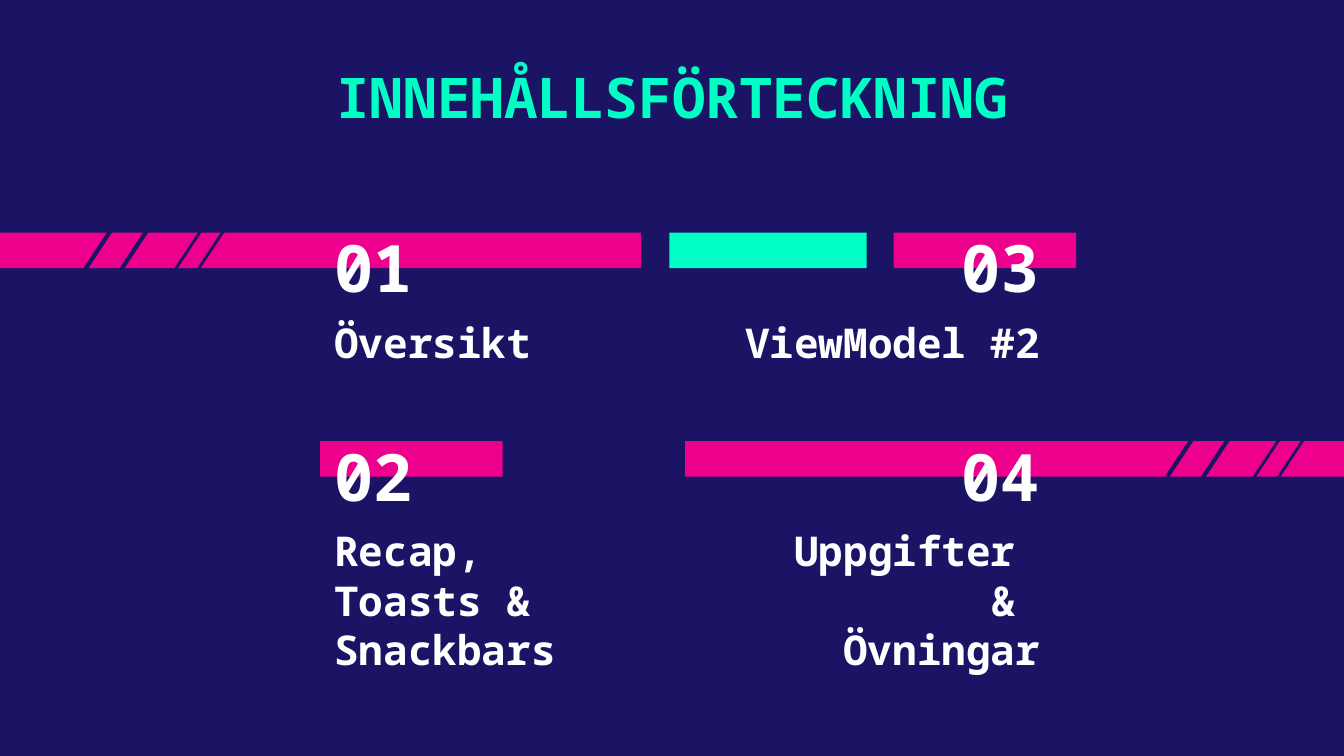
import pptx
import pptx.util
import pptx.dml.color
import pptx.enum.shapes
import pptx.enum.text
import pptx.oxml.ns
from lxml import etree

Cm, Pt = pptx.util.Cm, pptx.util.Pt
RGB = pptx.dml.color.RGBColor.from_string
ALIGN = pptx.enum.text.PP_ALIGN
ANCHOR = pptx.enum.text.MSO_ANCHOR

THEME = {
    "font": "Noto Sans Mono",
    "navy": RGB("1B1464"), "pink": RGB("EC008C"),
    "mint": RGB("00FFC5"), "white": RGB("FFFFFF"),
    "title": Pt(30), "number": Pt(35), "topic": Pt(22),
}

# All lengths are in centimetres.
TITLE = "INNEHÅLLSFÖRTECKNING"
ROW_TOPS = (4.4, 8.34)
BAR_HEIGHT = 0.67
BARS = [  # row, left, width, colour
    (0, 0, 12.12, "pink"),
    (0, 16.89, 3.45, "pink"),
    (1, 6.05, 3.45, "pink"),
    (1, 12.95, 12.45, "pink"),
    (0, 12.65, 3.73, "mint"),
]
LEFT_EDGE, RIGHT_EDGE, NUMBER_WIDTH = 6.07, 19.91, 6.02
ENTRIES = [  # row, alignment, number, paragraphs, topic width
    (0, ALIGN.LEFT, "01", ["Översikt"], 6.02),
    (0, ALIGN.RIGHT, "03", ["ViewModel #2"], 8.0),
    (1, ALIGN.LEFT, "02", ["Recap,", "Toasts & Snackbars"], 8.59),
    (1, ALIGN.RIGHT, "04", ["Uppgifter \v& \vÖvningar"], 6.02),
]
SLASH_RUN, SLASH_DROP = -1.44, 2.18
SLASHES = [  # top end x, y, line width in points
    (2.62, 3.56, 2.25), (3.02, 3.99, 2.25), (3.89, 4.22, 1.5), (4.32, 4.22, 1.5),
    (23.5, 6.83, 2.25), (23.9, 7.26, 2.25), (24.31, 8.1, 1.5), (24.77, 8.1, 1.5),
]


def write(sp, paragraphs, style, color, align, anchor, pad):
    tf = sp.text_frame
    frame = {
        "word_wrap": True, "auto_size": pptx.enum.text.MSO_AUTO_SIZE.NONE,
        "vertical_anchor": anchor,
        "margin_left": Cm(0.25), "margin_right": Cm(0.25),
        "margin_top": Cm(pad), "margin_bottom": Cm(pad),
    }
    for name, value in frame.items():
        setattr(tf, name, value)
    for i, text in enumerate(paragraphs):
        p = tf.add_paragraph() if i else tf.paragraphs[0]
        p.text = text
        p.alignment = align
        for r in p.runs:
            for name, value in {"name": THEME["font"], "size": THEME[style], "bold": True}.items():
                setattr(r.font, name, value)
            r.font.color.rgb = THEME[color]


def add_bar(s, row, left, width, color):
    sp = s.shapes.add_shape(pptx.enum.shapes.MSO_SHAPE.RECTANGLE,
                            Cm(left), Cm(ROW_TOPS[row]), Cm(width), Cm(BAR_HEIGHT))
    sp.shadow.inherit = False
    sp.fill.solid()
    sp.fill.fore_color.rgb = THEME[color]
    sp.line.fill.background()


def add_entry(s, row, align, number, paragraphs, topic_width):
    parts = [  # paragraphs, style, offset below the bar's top, width, height, anchor
        ([number], "number", 0.72, NUMBER_WIDTH, 0.66, ANCHOR.BOTTOM),
        (paragraphs, "topic", 1.6, topic_width, 1.19, ANCHOR.TOP),
    ]
    for texts, style, offset, width, height, anchor in parts:
        left = LEFT_EDGE if align == ALIGN.LEFT else RIGHT_EDGE - width
        sp = s.shapes.add_textbox(Cm(left), Cm(ROW_TOPS[row] + offset), Cm(width), Cm(height))
        write(sp, texts, style, "white", align, anchor, 0)


def add_slash(s, x, y, width):
    line = s.shapes.add_connector(pptx.enum.shapes.MSO_CONNECTOR.STRAIGHT,
                                  Cm(x), Cm(y), Cm(x + SLASH_RUN), Cm(y + SLASH_DROP))
    line.line.color.rgb = THEME["navy"]
    line.line.width = Pt(width)
    etree.SubElement(line._element.spPr, pptx.oxml.ns.qn("a:effectLst"))


def main():
    prs = pptx.Presentation()
    prs.slide_width, prs.slide_height = Cm(25.4), Cm(14.29)
    s = prs.slides.add_slide(prs.slide_layouts[5])
    s.background.fill.solid()
    s.background.fill.fore_color.rgb = THEME["navy"]

    title = s.shapes.title
    title.left, title.top, title.width, title.height = Cm(3.56), Cm(0.94), Cm(18.29), Cm(1.85)
    write(title, [TITLE], "title", "mint", ALIGN.CENTER, ANCHOR.TOP, 0.25)

    for bar in BARS:
        add_bar(s, *bar)
    for entry in ENTRIES:
        add_entry(s, *entry)
    for slash in SLASHES:
        add_slash(s, *slash)
    prs.save("out.pptx")


if __name__ == "__main__":
    main()
